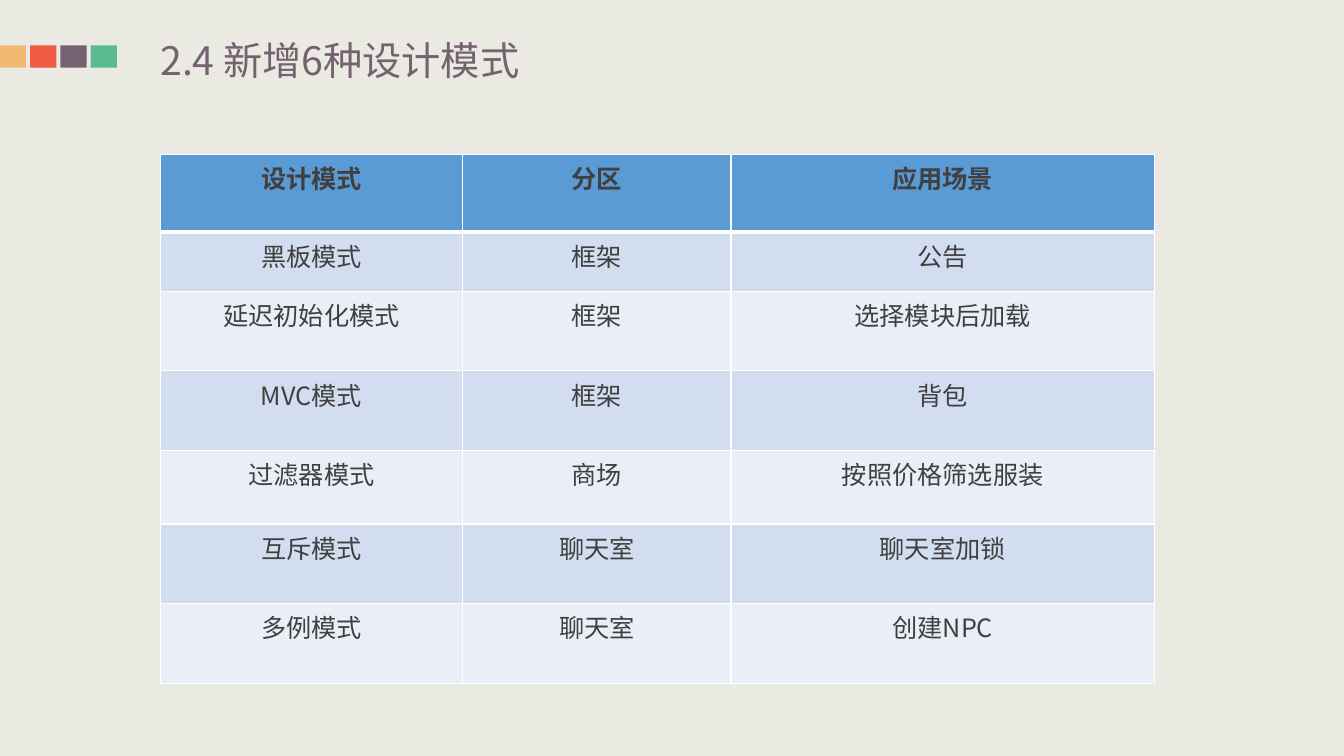
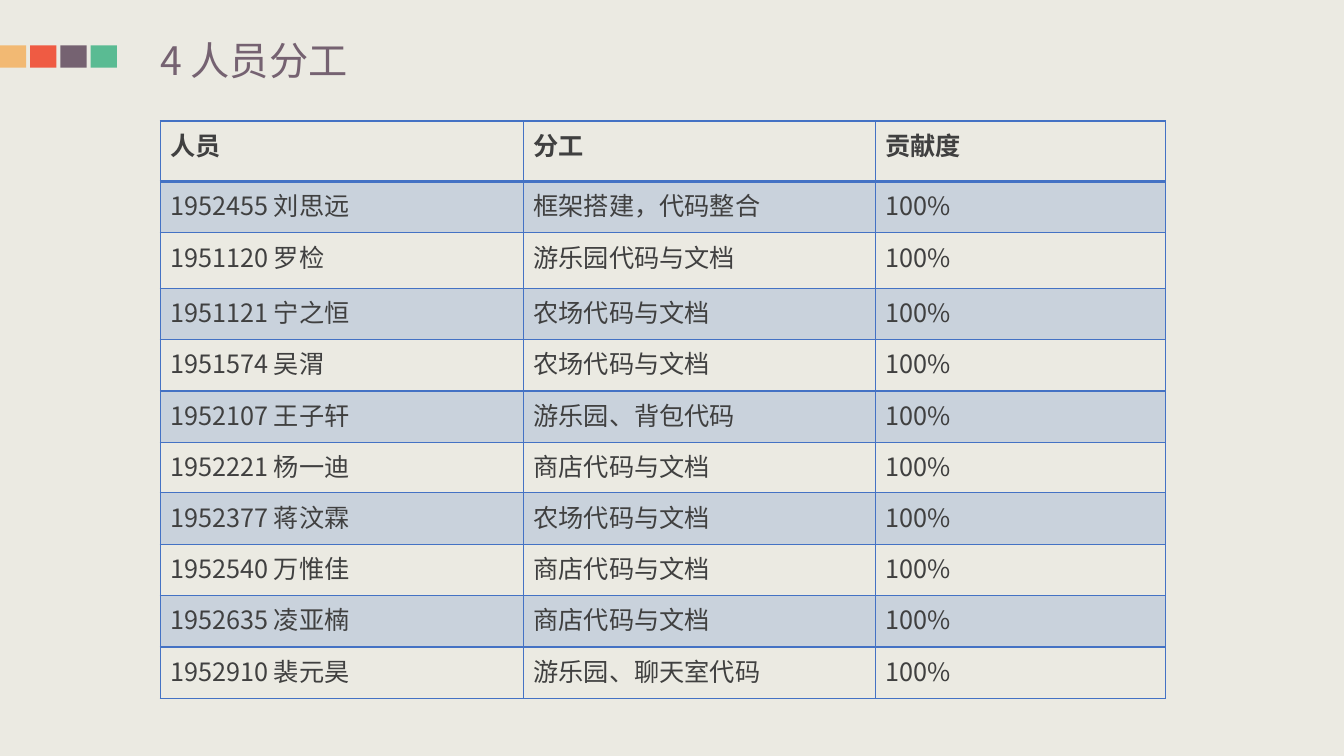
from lxml import etree
from pptx import Presentation
from pptx import util as u
from pptx.dml import color
from pptx.enum import shapes, text
from pptx.oxml import ns

PX = 9144
FONT = "Noto Sans CJK SC"
BACKGROUND, PLUM, INK = "EBEAE2", "756271", "404040"
BAND_COLOURS = ("F2B973", "EF5B43", PLUM, "5ABB93")
TITLE_FRAME = {
    "margin_left": 0, "margin_right": 0, "margin_top": 0, "margin_bottom": 0,
    "word_wrap": True, "auto_size": text.MSO_AUTO_SIZE.NONE,
    "vertical_anchor": text.MSO_ANCHOR.MIDDLE,
}

PATTERN_STYLE = {
    "align": text.PP_ALIGN.CENTER, "border": "FFFFFF", "rule": 3,
    "header": ("5B9BD5", 100), "bands": (("D2DEEF", 100), ("EAEFF7", 100)),
}
PATTERN_ROWS = (
    ("设计模式", "分区", "应用场景"),
    ("黑板模式", "框架", "公告"),
    ("延迟初始化模式", "框架", "选择模块后加载"),
    ("MVC模式", "框架", "背包"),
    ("过滤器模式", "商场", "按照价格筛选服装"),
    ("互斥模式", "聊天室", "聊天室加锁"),
    ("多例模式", "聊天室", "创建NPC"),
)

STAFF_STYLE = {
    "align": text.PP_ALIGN.LEFT, "border": "4472C4", "rule": 2,
    "header": None, "bands": (("4472C4", 20), None),
}
STAFF_DUTIES = (
    ("1952455 刘思远", "框架搭建，代码整合"),
    ("1951120 罗检", "游乐园代码与文档"),
    ("1951121 宁之恒", "农场代码与文档"),
    ("1951574 吴渭", "农场代码与文档"),
    ("1952107 王子轩", "游乐园、背包代码"),
    ("1952221 杨一迪", "商店代码与文档"),
    ("1952377 蒋汶霖", "农场代码与文档"),
    ("1952540 万惟佳", "商店代码与文档"),
    ("1952635 凌亚楠", "商店代码与文档"),
    ("1952910 裴元昊", "游乐园、聊天室代码"),
)
STAFF_ROWS = (("人员", "分工", "贡献度"),
              *((member, duty, "100%") for member, duty in STAFF_DUTIES))


def rgb(value):
    """Turn a hex string into a colour."""
    return color.RGBColor.from_string(value)


def px(*lengths):
    """Turn px lengths into EMU."""
    return [u.Emu(length * PX) for length in lengths]


def set_all(target, formats):
    """Set every attribute named in a dict of format values."""
    for name, value in formats.items():
        setattr(target, name, value)


def paint(fill, value, opacity=100):
    """Give a fill one solid colour, with an optional opacity in percent."""
    fill.solid()
    fill.fore_color.rgb = rgb(value)
    if opacity < 100:
        solid = fill._xPr.find(ns.qn("a:solidFill"))
        etree.SubElement(solid[0], ns.qn("a:alpha"), val=str(opacity * 1000))


def write(frame, words, size, value, align, bold=False):
    """Write one formatted paragraph into a text frame."""
    paragraph = frame.paragraphs[0]
    paragraph.alignment = align
    run = paragraph.add_run()
    run.text = words
    set_all(run.font, {"name": FONT, "size": u.Pt(size), "bold": bold})
    run.font.color.rgb = rgb(value)
    etree.SubElement(run._r.get_or_add_rPr(), ns.qn("a:ea"), typeface=FONT)


def set_borders(cell, value, top, bottom):
    """Draw the four borders of a cell, side borders being 1 pt wide."""
    properties = cell._tc.get_or_add_tcPr()
    sides = {"lnL": 1, "lnR": 1, "lnT": top, "lnB": bottom}
    for position, (side, width) in enumerate(sides.items()):
        line = etree.Element(ns.qn(f"a:{side}"), w=str(u.Pt(width)))
        solid = etree.SubElement(line, ns.qn("a:solidFill"))
        etree.SubElement(solid, ns.qn("a:srgbClr"), val=value)
        properties.insert(position, line)


def add_table(slide, left, top, widths, heights, rows, style):
    """Add a table with a header row and alternating bands."""
    frame = slide.shapes.add_table(
        len(rows), len(widths), *px(left, top, sum(widths), sum(heights)))
    table = frame.table
    set_all(table, {"first_row": False, "horz_banding": False})
    for column, width in zip(table.columns, px(*widths)):
        column.width = width
    for index, (row, height) in enumerate(zip(table.rows, px(*heights))):
        row.height = height
        is_header = index == 0
        band = style["header"] if is_header else style["bands"][(index - 1) % 2]
        for cell, words in zip(row.cells, rows[index]):
            write(cell.text_frame, words, 18, INK, style["align"], is_header)
            if band:
                paint(cell.fill, *band)
            else:
                cell.fill.background()
            set_borders(cell, style["border"],
                        top=style["rule"] if index == 1 else 1,
                        bottom=style["rule"] if is_header else 1)


def add_title(slide, words):
    """Fill and place the title placeholder."""
    title = slide.shapes.title
    place = zip(("left", "top", "width", "height"), px(159, 36, 399, 47))
    set_all(title, dict(place))
    set_all(title.text_frame, TITLE_FRAME)
    write(title.text_frame, words, 28, PLUM, text.PP_ALIGN.LEFT)


def add_band(slide):
    """Draw the row of coloured squares and hang it on the slide's layout."""
    band = slide.shapes.add_group_shape()
    for index, value in enumerate(BAND_COLOURS):
        square = band.shapes.add_shape(
            shapes.MSO_SHAPE.RECTANGLE, *px(index * 30, 45, 26, 22))
        square.shadow.inherit = False
        paint(square.fill, value)
        square.line.fill.background()
    slide.slide_layout.shapes.element.append(band.element)


def main():
    """Build and save the presentation."""
    deck = Presentation()
    deck.slide_width, deck.slide_height = px(1333, 750)
    paint(deck.slide_master.background.fill, BACKGROUND)
    layout = deck.slide_layouts.get_by_name("Title Only")

    patterns = deck.slides.add_slide(layout)
    add_band(patterns)
    add_title(patterns, "2.4 新增6种设计模式")
    add_table(patterns, 159, 153, (300, 266, 420),
              (77, 59, 79, 79, 73, 79, 79), PATTERN_ROWS, PATTERN_STYLE)

    staff = deck.slides.add_slide(layout)
    add_title(staff, "4 人员分工")
    add_table(staff, 159, 120, (360, 349, 288),
              (60, 51, 55, 51, 51, 51, 50, 51, 51, 51, 51),
              STAFF_ROWS, STAFF_STYLE)

    deck.save("out.pptx")


if __name__ == "__main__":
    main()
